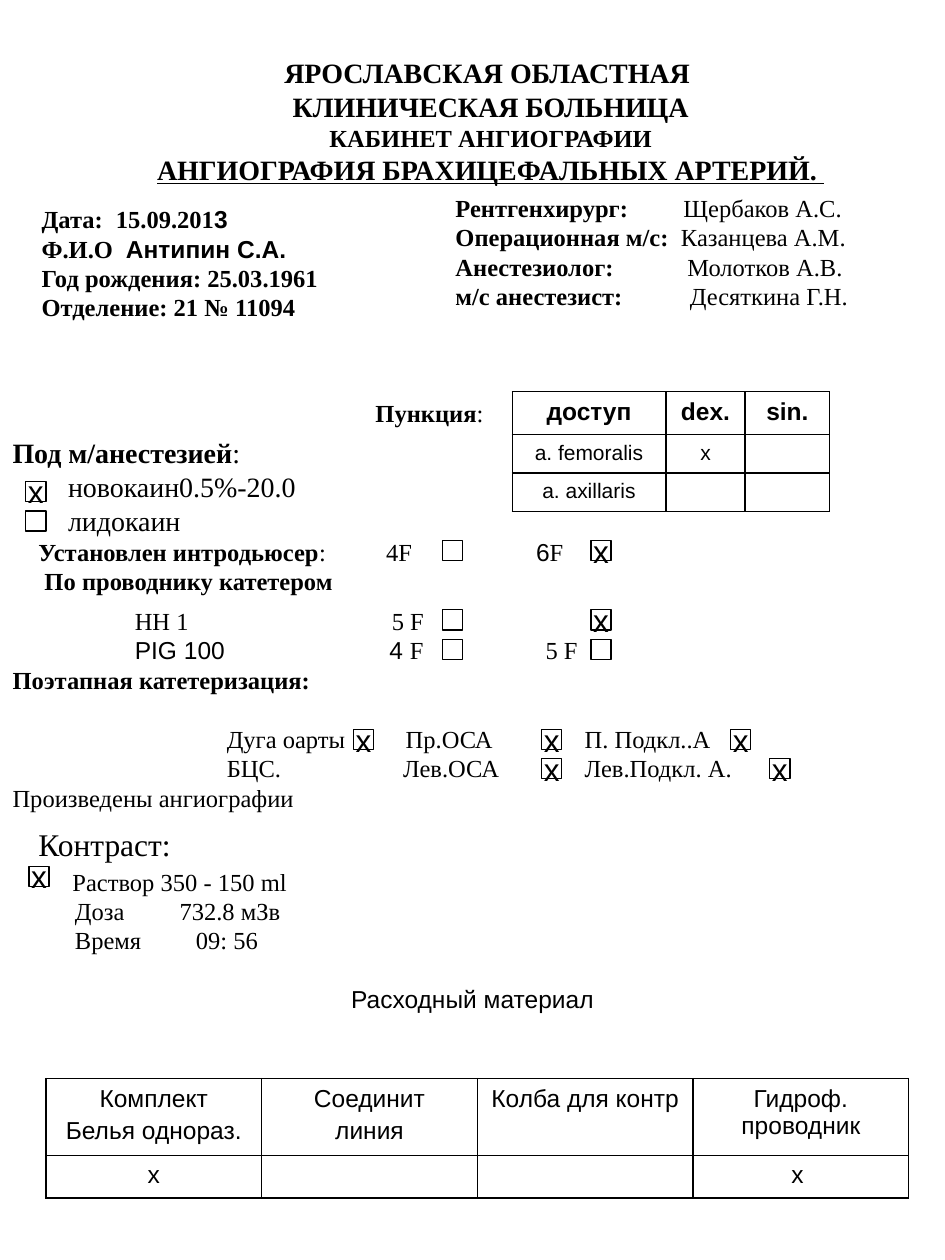
from dataclasses import dataclass
from typing import NamedTuple

from lxml.etree import SubElement
from pptx import Presentation
from pptx.dml.color import RGBColor
from pptx.enum.shapes import MSO_SHAPE
from pptx.enum.text import MSO_ANCHOR, MSO_AUTO_SIZE, PP_ALIGN
from pptx.oxml.ns import qn
from pptx.util import Emu, Inches, Pt

HUES = {"ink": "000000"}
INK = RGBColor.from_string(HUES["ink"])
SERIF, SANS = "Times New Roman", "Arial"
WIDE, HIGH = Inches(7.5), Inches(10)
COLS, ROWS = 75, 100
LEAD = 1.2  # line height as a share of the type size


class Run(NamedTuple):
    text: str
    bold: bool = False
    face: str = SERIF
    under: bool = False


@dataclass
class Line:
    runs: list[Run]
    tabs: tuple[float, ...] = ()  # tab stops in grid columns
    size: float = 14
    gap: float = 0  # space before, in points


@dataclass
class Block:
    x: float
    y: float
    w: float
    lines: list[Line]
    align: PP_ALIGN = PP_ALIGN.LEFT


@dataclass
class Grid:
    x: float
    y: float
    wide: list[float]
    high: list[float]
    cells: list[list[str]]
    sizes: list[float]
    bold: bool
    edge: float  # outer border, in points


def col(n: float) -> Emu:
    return Emu(int(WIDE * n / COLS))


def row(n: float) -> Emu:
    return Emu(int(HIGH * n / ROWS))


def style(run, size: float, face: str, bold: bool = False) -> None:
    run.font.size, run.font.name, run.font.bold = Pt(size), face, bold
    run.font.color.rgb = INK


def fill_text(shape, block: Block) -> None:
    """Place a text shape on the grid and write its lines."""
    shape.left, shape.top, shape.width = col(block.x), row(block.y), col(block.w)
    shape.height = Pt(sum(line.size * LEAD + line.gap for line in block.lines))
    frame = shape.text_frame
    frame.word_wrap, frame.auto_size = True, MSO_AUTO_SIZE.NONE
    frame.vertical_anchor = MSO_ANCHOR.TOP
    frame.margin_left = frame.margin_right = 0
    frame.margin_top = frame.margin_bottom = 0
    for i, line in enumerate(block.lines):
        para = frame.paragraphs[0] if i == 0 else frame.add_paragraph()
        if line.tabs:
            stops = SubElement(para._p.get_or_add_pPr(), qn("a:tabLst"))
            for n in line.tabs:
                SubElement(stops, qn("a:tab"), pos=str(col(n)), algn="l")
        para.alignment = block.align
        para.line_spacing = Pt(line.size * LEAD)
        para.space_before, para.space_after = Pt(line.gap), Pt(0)
        for part in line.runs:
            run = para.add_run()
            run.text = part.text
            style(run, line.size, part.face, part.bold)
            if part.under:
                run.font.underline = True


def draw_box(slide, x: float, y: float, mark: str) -> None:
    box = slide.shapes.add_shape(MSO_SHAPE.RECTANGLE, col(x), row(y), col(1.6), row(1.6))
    box.shadow.inherit = False
    box.fill.background()
    box.line.color.rgb, box.line.width = INK, Pt(0.75)
    if mark:
        frame = box.text_frame
        frame.text, frame.word_wrap = mark, False
        frame.vertical_anchor = MSO_ANCHOR.MIDDLE
        para = frame.paragraphs[0]
        para.alignment = PP_ALIGN.CENTER
        style(para.runs[0], 18, SANS)


def rule_cell(cell, widths: dict[str, float]) -> None:
    """Draw the four borders of a cell."""
    props = cell._tc.get_or_add_tcPr()
    for side, width in widths.items():
        edge = SubElement(props, qn(f"a:ln{side}"), w=str(Pt(width)))
        paint = SubElement(edge, qn("a:solidFill"))
        SubElement(paint, qn("a:srgbClr"), val=HUES["ink"])


def draw_grid(slide, grid: Grid) -> None:
    down, across = len(grid.high), len(grid.wide)
    table = slide.shapes.add_table(down, across, col(grid.x), row(grid.y),
                                   col(sum(grid.wide)), row(sum(grid.high))).table
    table.first_row = table.horz_banding = False
    for c, n in enumerate(grid.wide):
        table.columns[c].width = col(n)
    for r, n in enumerate(grid.high):
        table.rows[r].height = row(n)
        for c, text in enumerate(grid.cells[r]):
            cell = table.cell(r, c)
            outer = {"L": c == 0, "R": c == across - 1, "T": r == 0, "B": r == down - 1}
            rule_cell(cell, {k: grid.edge if out else 1 for k, out in outer.items()})
            cell.fill.background()
            cell.text_frame.text = text
            for i, para in enumerate(cell.text_frame.paragraphs):
                para.alignment = PP_ALIGN.CENTER
                para.font.size = Pt(grid.sizes[r])
                para.space_before = Pt(2.8 if i else 0)
                for run in para.runs:
                    style(run, grid.sizes[r], SANS, grid.bold and r == 0)


def staff(role: str, name: str, stop: float) -> Line:
    return Line([Run(role + "\t", True), Run(name)], (stop,))


HEAD = Block(5.2, 4.44, 67.5, [
    Line([Run("ЯРОСЛАВСКАЯ ОБЛАСТНАЯ ", True)], size=16),
    Line([Run("КЛИНИЧЕСКАЯ БОЛЬНИЦА", True)], size=16),
    Line([Run("КАБИНЕТ АНГИОГРАФИИ", True)]),
    Line([Run("АНГИОГРАФИЯ БРАХИЦЕФАЛЬНЫХ АРТЕРИЙ. ", True, under=True)], size=16),
], PP_ALIGN.CENTER)

BLOCKS = [
    Block(3.3, 16.2, 30, [
        Line([Run("Дата:\t15.09.201", True), Run("3", True, SANS)], (5.9,)),
        Line([Run("Ф.И.О\t", True), Run("Антипин С.А.", True, SANS)], (6.7,)),
        Line([Run("Год рождения: 25.03.1961", True)]),
        Line([Run("Отделение: 21 № 11094", True)]),
    ]),
    Block(36.15, 15.3, 36, [
        staff("Рентгенхирург:", "Щербаков А.С.", 18.1),
        staff("Операционная м/с:", "Казанцева А.М.", 17.9),
        staff("Анестезиолог:", "Молотков А.В.", 18.4),
        staff("м/с анестезист:", "Десяткина Г.Н.", 18.6),
    ]),
    Block(29.8, 31.6, 10, [Line([Run("Пункция", True), Run(":")])]),
    Block(1, 34.6, 28, [
        Line([Run("Под м/анестезией", True), Run(":")], size=16),
        Line([Run("\tновокаин0.5%-20.0")], (4.4,), 16),
        Line([Run("\tлидокаин")], (4.4,), 16),
    ]),
    Block(3.05, 42.6, 60, [
        Line([Run("Установлен интродьюсер", True), Run(":\t4F\t"),
              Run("6", face=SANS), Run("F")], (27.6, 39.5)),
        Line([Run(" По проводнику катетером", True)]),
    ]),
    Block(1, 48.1, 73, [
        Line([Run("\tНН 1\t5 F")], (9.7, 30.1)),
        Line([Run("\tРIG 100\t4 ", face=SANS), Run("F\t5 F")], (9.7, 29.9, 42.3)),
        Line([Run("Поэтапная катетеризация:", True)]),
        Line([Run("\tДуга оарты\tПр.ОСА\tП. Подкл..А")], (17, 31.2, 45.4), gap=16.8),
        Line([Run("\tБЦС.\tЛев.ОСА\tЛев.Подкл. А.")], (17, 31, 45.4)),
        Line([Run("Произведены ангиографии")]),
    ]),
    Block(3.05, 65.5, 36, [
        Line([Run("Контраст:")], size=18),
        Line([Run("\tРаствор 350 - 150 ml")], (2.7,), gap=2),
        Line([Run("\tДоза\t732.8 мЗв")], (2.9, 11.2)),
        Line([Run("\tВремя\t09: 56")], (2.9, 12.5)),
    ]),
    Block(0, 78.1, COLS, [Line([Run("Расходный материал", face=SANS)])], PP_ALIGN.CENTER),
]

# Left edge, top edge, mark
BOXES = [
    (2.05, 38.2, "х"), (2.05, 40.55, ""),
    (35.1, 42.9, ""), (46.9, 42.9, "х"),
    (35.1, 48.4, ""), (46.9, 48.4, "х"),
    (35.1, 50.75, ""), (46.9, 50.75, ""),
    (28.05, 57.9, "х"), (43, 57.9, "х"), (58, 57.9, "х"),
    (43, 60.2, "х"), (61.1, 60.2, "х"),
    (2.3, 68.75, "х"),
]

GRIDS = [
    Grid(40.65, 31.1, [12.2, 6.3, 6.7], [3.4, 2.95, 2.95],
         [["доступ", "dex.", "sin."], ["a. femoralis", "х", ""], ["a. axillaris", "", ""]],
         [14, 12, 12], True, 0.75),
    Grid(3.65, 85.6, [17.12] * 4, [6.1, 3.35],
         [["Комплект\nБелья однораз.", "Соединит\nлиния", "Колба для контр",
           "Гидроф. проводник"], ["х", "", "", "х "]],
         [14, 14], False, 1),
]


def main() -> None:
    deck = Presentation()
    deck.slide_width, deck.slide_height = WIDE, HIGH
    slide = deck.slides.add_slide(deck.slide_layouts[5])
    fill_text(slide.shapes.title, HEAD)
    for block in BLOCKS:
        fill_text(slide.shapes.add_textbox(0, 0, 0, 0), block)
    for grid in GRIDS:
        draw_grid(slide, grid)
    for x, y, mark in BOXES:
        draw_box(slide, x, y, mark)
    deck.save("out.pptx")


if __name__ == "__main__":
    main()
